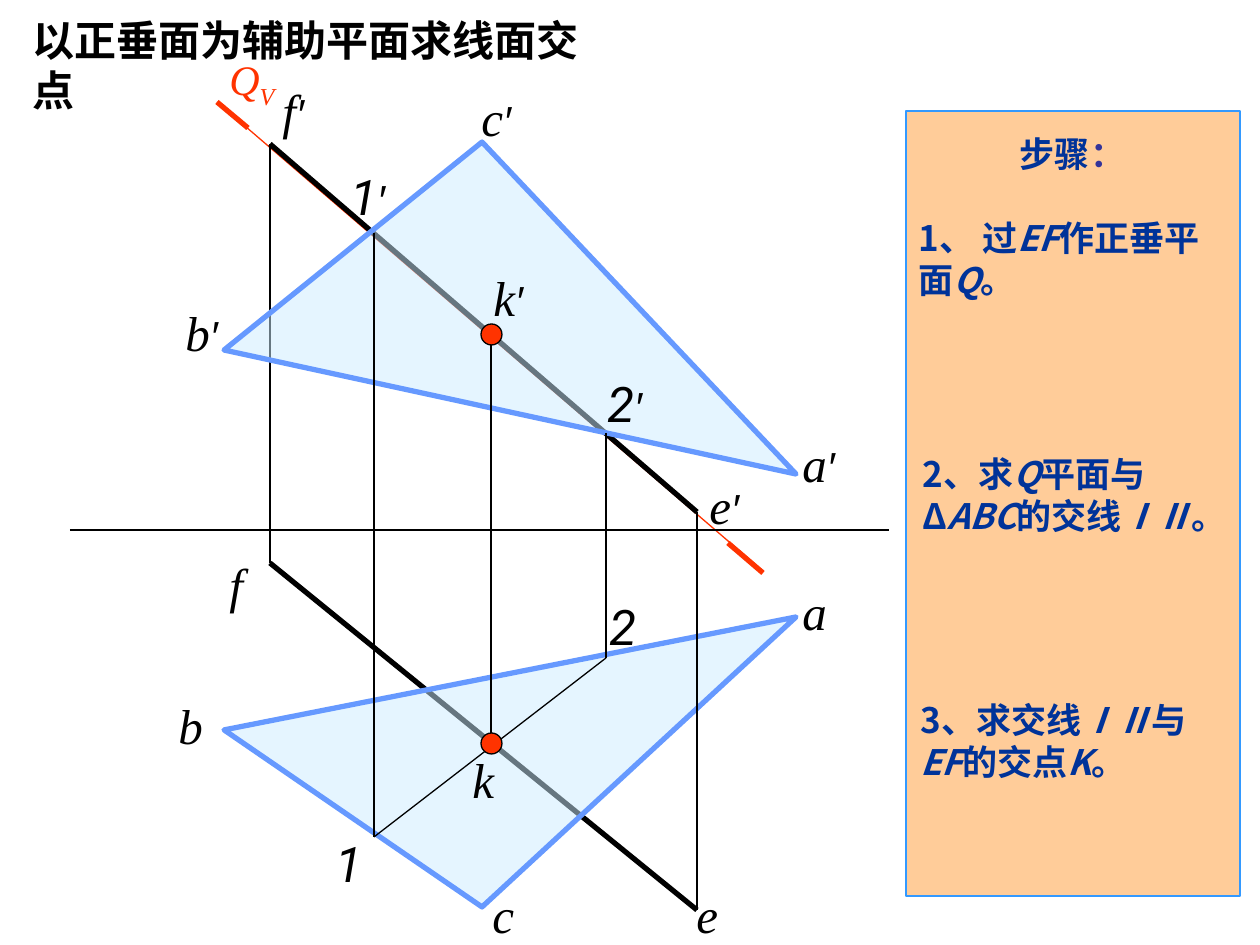
from lxml import etree
from pptx import Presentation
from pptx.dml.color import RGBColor
from pptx.enum.shapes import MSO_CONNECTOR, MSO_SHAPE
from pptx.enum.text import MSO_ANCHOR, MSO_AUTO_SIZE, PP_ALIGN
from pptx.oxml.ns import qn
from pptx.util import Pt

STRAIGHT = MSO_CONNECTOR.STRAIGHT
OVAL, RECT = MSO_SHAPE.OVAL, MSO_SHAPE.RECTANGLE
TOP, NONE = MSO_ANCHOR.TOP, MSO_AUTO_SIZE.NONE
LEFT, CENTER = PP_ALIGN.LEFT, PP_ALIGN.CENTER
SCALE = 914400 / 126
BLACK, RED, NAVY = "000000", "FF3300", "003399"
SERIF, SANS, HAN = "Times New Roman", "Roboto", "Noto Sans CJK SC"
color = RGBColor.from_string

deck = Presentation()
deck.slide_width, deck.slide_height = round(1260 * SCALE), round(945 * SCALE)
slide = deck.slides.add_slide(deck.slide_layouts[5])
shapes = slide.shapes


def px(*nums):
    return [round(n * SCALE) for n in nums]


def style(font, name, size, tint):
    font.name, font.size = name, Pt(size)
    font.color.rgb = color(tint)


title = shapes.title
title.left, title.top, title.width, title.height = px(20, 8, 612, 63)
frame = title.text_frame
frame.text = "以正垂面为辅助平面求线面交点"
frame.word_wrap, frame.auto_size = False, NONE
frame.vertical_anchor = TOP
para = frame.paragraphs[0]
para.alignment = LEFT
style(para.font, "Arial", 24, BLACK)
para.font.bold = True

under = [
    (217, 102, 763, 571, RED, 0.75),
    (217, 102, 248, 128, RED, 3),
    (763, 573, 728, 543, RED, 3),
    (270, 144, 697, 512, BLACK, 3),
    (270, 144, 270, 563, BLACK, 0.75),
    (270, 563, 697, 910, BLACK, 3),
]
planes = [
    [(224, 350), (482, 142), (796, 474)],
    [(482, 907), (224, 730), (796, 617)],
]
over = [
    (697, 512, 697, 910, BLACK, 0.75),
    (70, 530, 889, 530, BLACK, 0.75),
    (374, 837, 606, 658, BLACK, 0.75),
    (491, 745, 491, 334, BLACK, 0.75),
    (606, 433, 606, 658, BLACK, 0.75),
    (374, 233, 374, 837, BLACK, 0.75),
]
for group in (under, planes, over):
    for item in group:
        if group is planes:
            pen = shapes.build_freeform(*item[0], scale=SCALE)
            pen.add_line_segments(item[1:], close=True)
            plane = pen.convert_to_shape()
            plane.shadow.inherit = False
            plane.fill.solid()
            plane.fill.fore_color.rgb = color("CCECFF")
            tone = plane._element.spPr.find(".//" + qn("a:srgbClr"))
            etree.SubElement(tone, qn("a:alpha"), val="50000")
            plane.line.color.rgb = color("6699FF")
            plane.line.width = Pt(3)
        else:
            *ends, tint, width = item
            line = shapes.add_connector(STRAIGHT, *px(*ends))
            line.line.color.rgb = color(tint)
            line.line.width = Pt(width)
            etree.SubElement(line._element.spPr, qn("a:effectLst"))

solids = [
    (OVAL, 481, 733, 21, 21, RED, BLACK),
    (OVAL, 481, 324, 21, 21, RED, BLACK),
    (RECT, 906, 111, 334, 785, "FFCC99", "3399FF"),
]
for kind, x, y, w, h, tint, edge in solids:
    solid = shapes.add_shape(kind, *px(x, y, w, h))
    solid.shadow.inherit = False
    solid.fill.solid()
    solid.fill.fore_color.rgb = color(tint)
    solid.line.color.rgb = color(edge)
    solid.line.width = Pt(0.75)

labels = [
    ("f′", 270, 74, 145), ("e′", 697, 469, 101), ("e", 684, 878, 71),
    ("f", 217, 548, 71), ("b", 166, 689, 139), ("a′", 790, 427, 160),
    ("a", 790, 575, 87), ("c", 480, 878, 87), ("b′", 173, 296, 147),
    ("c′", 469, 81, 91), ("1′", 338, 160, 95), ("2′", 595, 367, 95),
    ("2", 597, 590, 95), ("1", 323, 827, 95), ("k", 460, 743, 71),
    ("k′", 481, 261, 71), ("QV", 217, 47, 95),
]
for text, x, y, w in labels:
    frame = shapes.add_textbox(*px(x, y, w, 72)).text_frame
    frame.word_wrap = True
    para = frame.paragraphs[0]
    para.font.italic = True
    for sign in text:
        run = para.add_run()
        run.text = sign
        if text == "QV":
            style(run.font, SERIF, 24, RED)
        elif sign == "′":
            style(run.font, "Arial", 24, BLACK)
        else:
            style(run.font, SANS if sign in "12" else SERIF, 28, BLACK)
        if sign == "V":
            run._r.get_or_add_rPr().set("baseline", "-25000")

notes = [
    (906, 126, 333, 181, [
        ["步骤", "："],
        ["1、 过", "EF", "作正垂平面", "Q", "。"],
    ]),
    (910, 446, 329, 97, [
        ["2、求", "Q", "平面与Δ", "ABC", "的交线", "ⅠⅡ", "。"],
    ]),
    (908, 692, 325, 97, [
        ["3、求交线", "ⅠⅡ", "与", "EF", "的交点", "K", "。"],
    ]),
]
for x, y, w, h, rows in notes:
    frame = shapes.add_textbox(*px(x, y, w, h)).text_frame
    frame.word_wrap = True
    for i, row in enumerate(rows):
        para = frame.add_paragraph() if i else frame.paragraphs[0]
        head = row[0] == "步骤"
        para.alignment = CENTER if head else LEFT
        if i:
            para.space_before = Pt(24)
        style(para.font, HAN, 20, NAVY)
        para.font.bold = True
        base = para._p.pPr.find(qn("a:defRPr"))
        etree.SubElement(base, qn("a:ea"), typeface=HAN)
        for j, text in enumerate(row):
            run = para.add_run()
            run.text = text
            if head and j:
                run.font.color.rgb = color("333399")
            elif j % 2:
                run.font.italic = True

deck.save("out.pptx")
